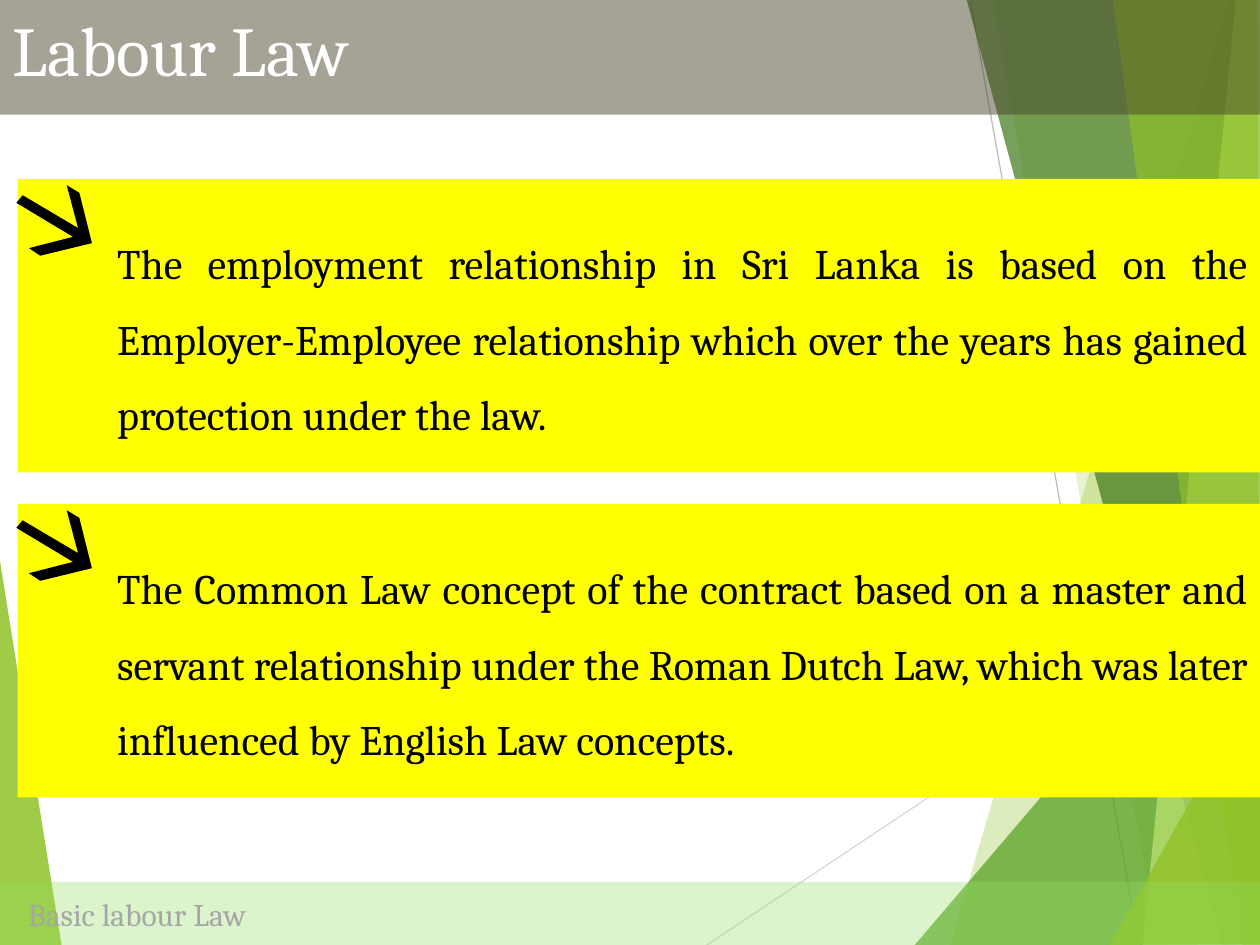
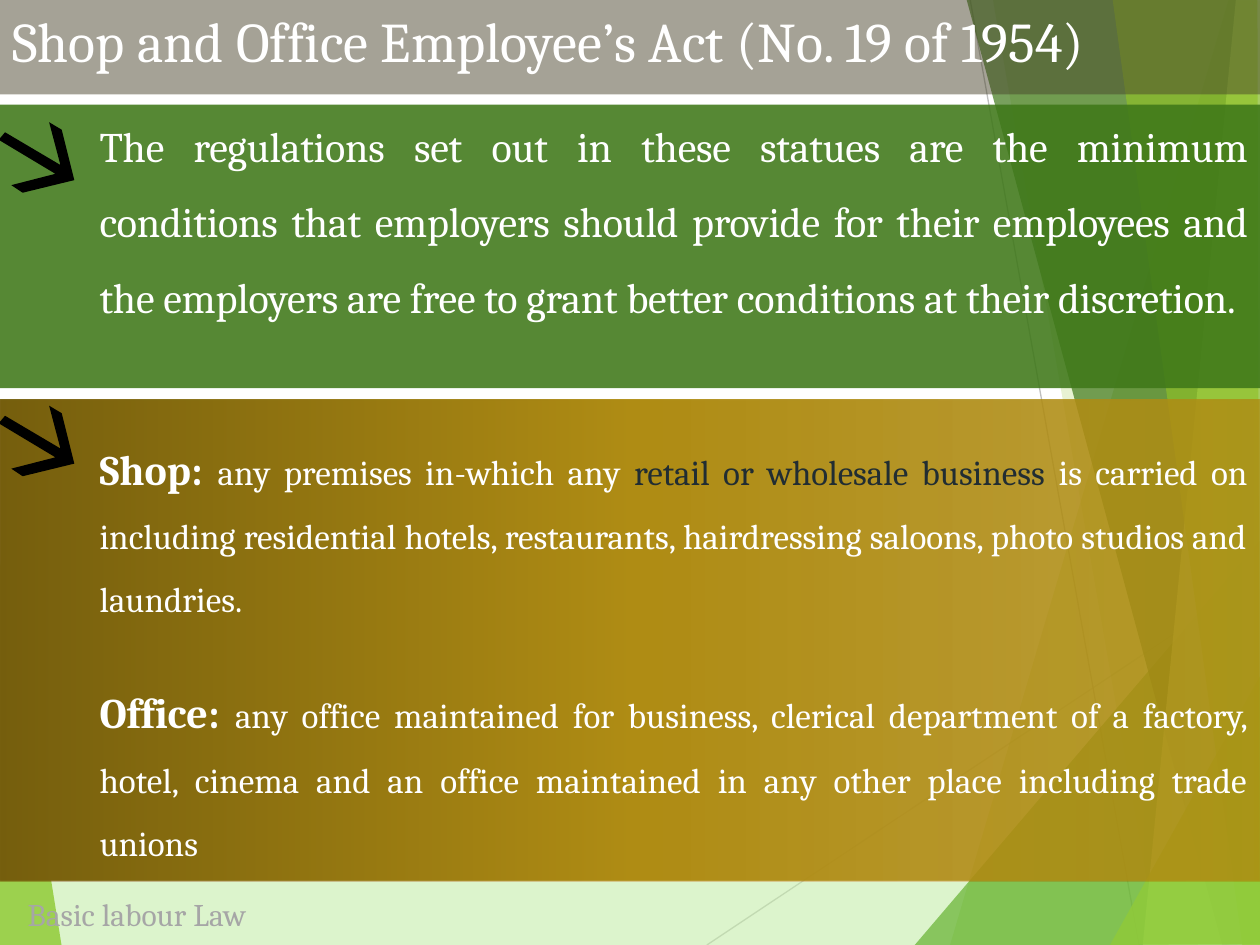
from dataclasses import dataclass

from lxml import etree
from pptx import Presentation
from pptx.dml.color import RGBColor
from pptx.enum.shapes import MSO_CONNECTOR, MSO_SHAPE
from pptx.enum.text import MSO_ANCHOR, PP_ALIGN
from pptx.oxml.ns import qn
from pptx.util import Inches, Pt


@dataclass(frozen=True)
class Theme:
    font: str = "Cambria"
    white: str = "FFFFFF"
    black: str = "000000"
    title_band: str = "48432A"
    footer_band: str = "94DE61"
    footer_text: str = "A6A6A6"
    highlight: str = "FFFF00"
    lime: str = "90C226"
    pale_lime: str = "C0E474"
    leaf: str = "54A021"
    forest: str = "3F7819"
    gold: str = "AF8C14"
    dark_gold: str = "755E0D"
    term: str = "212D32"
    pale_ray: str = "D9D9D9"
    grey_ray: str = "BFBFBF"
    title_size: int = 40
    long_title_size: int = 32
    body_size: int = 24
    detail_size: int = 20
    footer_size: int = 18


THEME = Theme()
WIDTH, HEIGHT = 10, 7.5
FOOTER_TOP = 7

RAYS = [
    ((5.61, 7.5), (10.01, 4.57), THEME.pale_ray),
    ((7.7, 0), (9.04, 7.5), THEME.grey_ray),
]
LEFT_FACET = ([(-0.01, 4.39), (0.49, 7.51), (-0.01, 7.5)], THEME.lime, 85)
RIGHT_FACETS = [
    ([(9.75, 0), (7.54, 7.5), (10.02, 7.51), (10.01, 0.01)], THEME.lime, 30),
    ([(7.88, -0.01), (9.19, 7.5), (10.01, 7.5), (10.01, -0.01)], THEME.lime, 20),
    ([(7.26, 7.5), (10, 4.29), (10.01, 7.5)], THEME.leaf, 72),
    ([(7.67, -0.01), (9.7, 7.5), (10.01, 7.49), (10.01, -0.01)], THEME.forest, 70),
    ([(9.81, -0.01), (9.07, 7.5), (10.01, 7.5), (10, -0.01)], THEME.pale_lime, 70),
    ([(8.83, -0.01), (9.86, 7.5), (10, 7.5), (9.98, -0.01)], THEME.lime, 65),
    ([(8.81, 7.5), (10.01, 5.35), (10.01, 7.49)], THEME.lime, 80),
]
ARROW = [
    (0.22, 0.57), (0.13, 0.51), (0.48, 0.42), (0.03, 0.15), (0.08, 0.09),
    (0.52, 0.35), (0.43, 0.01), (0.53, 0.07), (0.63, 0.47),
]


def set_all(target, values):
    for attribute, value in values.items():
        setattr(target, attribute, value)


def add_alpha(color_element, opacity):
    if opacity < 100:
        etree.SubElement(color_element, qn("a:alpha"), val=str(opacity * 1000))


def paint(shape, color, opacity=100):
    shape.shadow.inherit = False
    shape.line.fill.background()
    shape.fill.solid()
    shape.fill.fore_color.rgb = RGBColor.from_string(color)
    add_alpha(shape.fill._xPr.find(f"{qn('a:solidFill')}/{qn('a:srgbClr')}"), opacity)


def paint_gradient(shape, stops, angle):
    shape.fill.gradient()
    gradient = shape.fill._xPr.find(qn("a:gradFill"))
    stop_list = gradient.find(qn("a:gsLst"))
    for old_stop in list(stop_list):
        stop_list.remove(old_stop)
    for position, color, opacity in stops:
        stop = etree.SubElement(stop_list, qn("a:gs"), pos=str(position * 1000))
        add_alpha(etree.SubElement(stop, qn("a:srgbClr"), val=color), opacity)
    gradient.find(qn("a:lin")).set("ang", str(angle * 60000))


def add_outline(slide, points, color, opacity=100):
    corners = [(Inches(x), Inches(y)) for x, y in points]
    builder = slide.shapes.build_freeform(*corners[0])
    builder.add_line_segments(corners[1:], close=True)
    paint(builder.convert_to_shape(), color, opacity)


def add_ray(slide, start, end, color):
    ray = slide.shapes.add_connector(
        MSO_CONNECTOR.STRAIGHT, *(Inches(value) for value in start + end)
    )
    ray.line.color.rgb = RGBColor.from_string(color)
    ray.line.width = Pt(0.75)
    etree.SubElement(ray._element.spPr, qn("a:effectLst"))


def add_backdrop(slide):
    add_outline(slide, *LEFT_FACET)
    for ray in RAYS:
        add_ray(slide, *ray)
    for facet in RIGHT_FACETS:
        add_outline(slide, *facet)


def add_band(slide, left, top, height, color, opacity=100):
    band = slide.shapes.add_shape(
        MSO_SHAPE.RECTANGLE,
        *(Inches(value) for value in (left, top, WIDTH - left, height)),
    )
    paint(band, color, opacity)
    return band


def write(band, paragraphs, indent=0.1, bottom=0.05, anchor=MSO_ANCHOR.MIDDLE,
          align=PP_ALIGN.LEFT, spacing=1.0, tracking=0):
    frame = band.text_frame
    set_all(frame, {
        "word_wrap": True,
        "vertical_anchor": anchor,
        "margin_left": Inches(indent),
        "margin_right": Inches(0.1),
        "margin_top": Inches(0.05),
        "margin_bottom": Inches(bottom),
    })
    for index, runs in enumerate(paragraphs):
        paragraph = frame.paragraphs[0] if index == 0 else frame.add_paragraph()
        first_size = runs[0][1]
        set_all(paragraph, {
            "alignment": align,
            "line_spacing": spacing,
            "space_before": Pt(first_size * 0.2),
            "space_after": Pt(first_size * 0.8),
        })
        for words, size, color, bold in runs:
            run = paragraph.add_run()
            run.text = words
            set_all(run.font, {"name": THEME.font, "size": Pt(size), "bold": bold})
            run.font.color.rgb = RGBColor.from_string(color)
            if tracking:
                run._r.get_or_add_rPr().set("spc", str(tracking))


def add_title(slide, words, height, size):
    band = add_band(slide, 0, 0, height, THEME.title_band, 49)
    write(band, [[(words, size, THEME.white, False)]], anchor=MSO_ANCHOR.TOP)


def add_footer(slide):
    band = add_band(slide, 0, FOOTER_TOP, HEIGHT - FOOTER_TOP, THEME.footer_band, 32)
    footer = ("Basic labour Law", THEME.footer_size, THEME.footer_text, False)
    write(band, [[footer]], indent=0.22)


def add_point(slide, band, paragraphs, arrow_at, bottom=0.05, tracking=0):
    write(band, paragraphs, indent=0.79, bottom=bottom,
          align=PP_ALIGN.JUSTIFY, spacing=1.5, tracking=tracking)
    left, top = arrow_at
    add_outline(slide, [(left + x, top + y) for x, y in ARROW], THEME.black)


def build_labour_law(slide):
    points = [
        "The employment relationship in Sri Lanka is based on the Employer-Employee "
        "relationship which over the years has gained protection under the law.",
        "The Common Law concept of the contract based on a master and servant "
        "relationship under the Roman Dutch Law, which was later influenced by "
        "English Law concepts.",
    ]
    for index, words in enumerate(points):
        top = 1.42 + index * 2.58
        band = add_band(slide, 0.14, top, 2.33, THEME.highlight)
        add_point(slide, band, [[(words, THEME.body_size, THEME.black, False)]],
                  (0.1, top + 0.04))
    add_title(slide, "Labour Law", 0.91, THEME.title_size)


def build_shop_and_office(slide):
    add_title(slide, "Shop and Office Employee’s Act (No. 19 of 1954)", 0.75,
              THEME.long_title_size)
    regulations = (
        "The regulations set out in these statues are the minimum conditions that "
        "employers should provide for their employees and the employers are free to "
        "grant better conditions at their discretion."
    )
    regulations_band = add_band(slide, 0, 0.83, 2.25, THEME.forest, 88)
    add_point(slide, regulations_band,
              [[(regulations, THEME.body_size, THEME.white, False)]],
              (-0.04, 0.96), bottom=0.65, tracking=-10)

    def heading(words):
        return words, THEME.body_size, THEME.white, True

    def detail(words, color=THEME.white):
        return words, THEME.detail_size, color, False

    definitions = [
        [
            heading("Shop: "),
            detail("any premises in-which any "),
            detail("retail or wholesale business ", THEME.term),
            detail("is carried on including residential hotels, restaurants, "
                   "hairdressing saloons, photo studios and laundries."),
        ],
        [
            heading("Office: "),
            detail("any office maintained for business, clerical department of a "
                   "factory, hotel, cinema and an office maintained in any other "
                   "place including trade unions"),
        ],
    ]
    definitions_band = add_band(slide, 0, 3.17, 3.83, THEME.gold)
    paint_gradient(definitions_band, [
        (0, THEME.gold, 82), (50, THEME.gold, 100), (100, THEME.dark_gold, 100),
    ], 180)
    add_point(slide, definitions_band, definitions, (-0.04, 3.21))


def main():
    deck = Presentation()
    deck.slide_width, deck.slide_height = Inches(WIDTH), Inches(HEIGHT)
    for build_content in (build_labour_law, build_shop_and_office):
        slide = deck.slides.add_slide(deck.slide_layouts[6])
        add_backdrop(slide)
        build_content(slide)
        add_footer(slide)
    deck.save("out.pptx")


if __name__ == "__main__":
    main()
